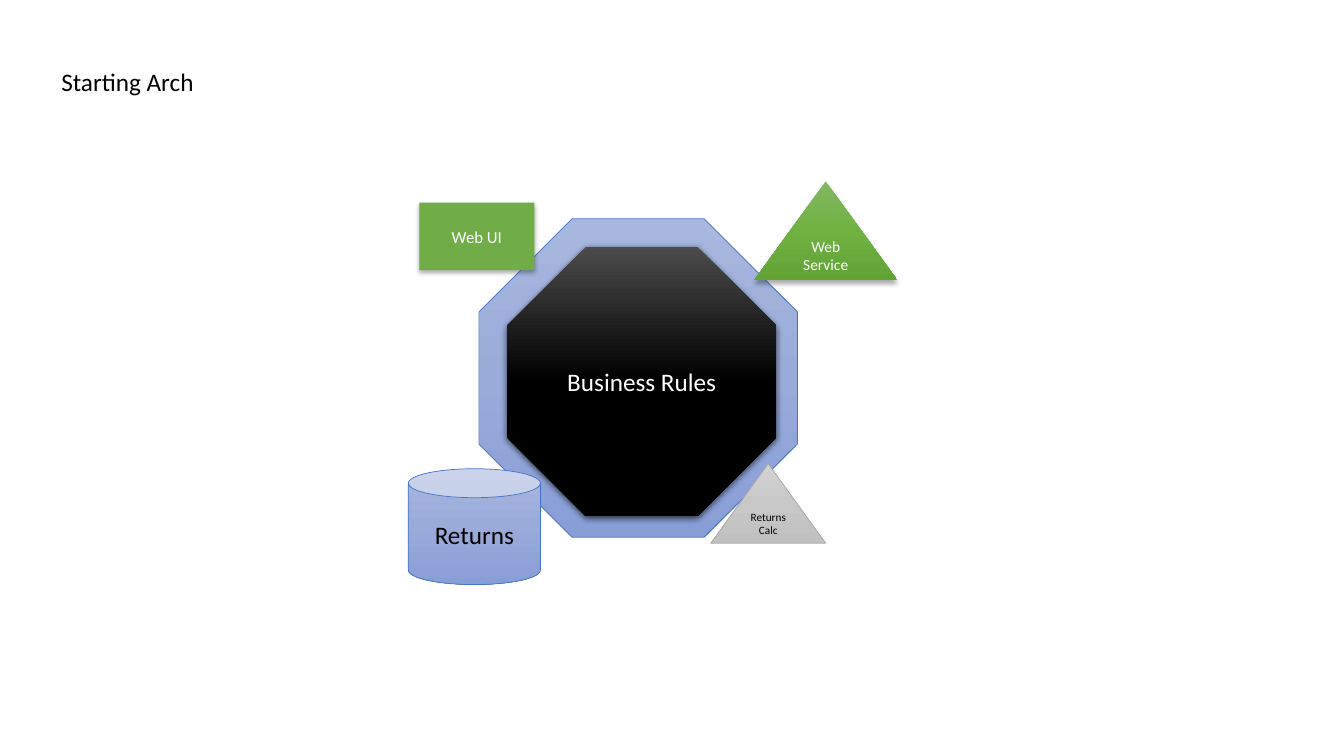
from lxml.etree import SubElement
from pptx import Presentation
from pptx.dml.color import RGBColor
from pptx.enum.shapes import MSO_SHAPE as Shape
from pptx.enum.text import MSO_ANCHOR as Anchor, MSO_AUTO_SIZE as AutoSize, PP_ALIGN as Align
from pptx.oxml.ns import qn
from pptx.util import Inches, Pt

FONT = "Calibri"
BLACK = RGBColor(0x00, 0x00, 0x00)
WHITE = RGBColor(0xFF, 0xFF, 0xFF)
GREEN = RGBColor(0x70, 0xAD, 0x47)
BLUE_LINE = RGBColor(0x44, 0x72, 0xC4)
GRAY_LINE = RGBColor(0xA5, 0xA5, 0xA5)

# Gradient colours at the top, middle and bottom
BLUE_FADE = (RGBColor(0xA8, 0xB7, 0xDF), RGBColor(0x9A, 0xAB, 0xD9), RGBColor(0x88, 0x9E, 0xD7))
BLACK_FADE = (RGBColor(0x4B, 0x4B, 0x4B), BLACK, BLACK)
GREEN_FADE = (RGBColor(0x81, 0xB8, 0x61), RGBColor(0x6F, 0xB2, 0x42), RGBColor(0x62, 0xA3, 0x36))
GRAY_FADE = (RGBColor(0xD2, 0xD2, 0xD2), RGBColor(0xC8, 0xC8, 0xC8), RGBColor(0xC0, 0xC0, 0xC0))

# Shadow opacity in percent, blur and distance in points
STRONG_SHADOW = (63, 4.5, 1.5)
SOFT_SHADOW = (32, 3.5, 2.2)

TITLE = ("Starting Arch", 18, BLACK)
TITLE_BOX = (0.51, 0.61, 1.53, 0.4)

# Preset, box, fill colours, line colour, shadow, label (text, size, colour)
PARTS = [
    (Shape.OCTAGON, (4.75, 2.17, 3.16, 3.16), BLUE_FADE, BLUE_LINE, None, None),
    (Shape.OCTAGON, (5.03, 2.45, 2.67, 2.67), BLACK_FADE, None, STRONG_SHADOW,
     ("Business Rules", 18, WHITE)),
    (Shape.CAN, (4.05, 4.65, 1.31, 1.15), BLUE_FADE, BLUE_LINE, None, ("Returns", 18, BLACK)),
    (Shape.RECTANGLE, (4.16, 2.01, 1.14, 0.67), (GREEN,), None, SOFT_SHADOW,
     ("Web UI", 12, WHITE)),
    (Shape.ISOSCELES_TRIANGLE, (7.48, 1.8, 1.42, 0.98), GREEN_FADE, None, SOFT_SHADOW,
     ("Web Service", 11, WHITE)),
    (Shape.ISOSCELES_TRIANGLE, (7.05, 4.6, 1.14, 0.79), GRAY_FADE, GRAY_LINE, None,
     ("Returns Calc", 8, BLACK)),
]


def add_color(parent, color):
    """Append an RGB colour element and return it."""
    return SubElement(parent, qn("a:srgbClr"), val=str(color))


def set_fill(shape, colors):
    """Fill with one colour, or with a downward gradient of evenly spaced colours."""
    if len(colors) == 1:
        shape.fill.solid()
        shape.fill.fore_color.rgb = colors[0]
        return
    shape.fill.gradient()
    shape.fill.gradient_angle = 270
    stops = shape._element.spPr.find(f"{qn('a:gradFill')}/{qn('a:gsLst')}")
    for stop in list(stops):
        stops.remove(stop)
    for index, color in enumerate(colors):
        position = index * 100000 // (len(colors) - 1)
        add_color(SubElement(stops, qn("a:gs"), pos=str(position)), color)


def set_shadow(shape, shadow):
    """Drop the theme shadow and, if given, cast one straight down."""
    shape.shadow.inherit = False
    if shadow:
        opacity, blur, distance = shadow
        effects = shape._element.spPr.find(qn("a:effectLst"))
        outer = SubElement(effects, qn("a:outerShdw"), blurRad=str(Pt(blur)),
                           dist=str(Pt(distance)), dir="5400000", algn="ctr", rotWithShape="0")
        SubElement(add_color(outer, BLACK), qn("a:alpha"), val=str(opacity * 1000))


def set_text(text_frame, label, alignment):
    """Write a one-paragraph label and format it."""
    text, size, color = label
    text_frame.text = text
    paragraph = text_frame.paragraphs[0]
    paragraph.alignment = alignment
    font = paragraph.runs[0].font
    font.name, font.size, font.color.rgb = FONT, Pt(size), color


def add_part(slide, preset, box, colors, line_color, shadow, label):
    """Add one architecture part."""
    shape = slide.shapes.add_shape(preset, *map(Inches, box))
    set_fill(shape, colors)
    if line_color is None:
        shape.line.fill.background()
    else:
        shape.line.color.rgb = line_color
        shape.line.width = Pt(0.5)
    set_shadow(shape, shadow)
    if label:
        shape.text_frame.vertical_anchor = Anchor.MIDDLE
        set_text(shape.text_frame, label, Align.CENTER)


def add_title(slide):
    """Add the slide heading."""
    text_frame = slide.shapes.add_textbox(*map(Inches, TITLE_BOX)).text_frame
    text_frame.word_wrap = False
    text_frame.auto_size = AutoSize.SHAPE_TO_FIT_TEXT
    set_text(text_frame, TITLE, Align.LEFT)


presentation = Presentation()
presentation.slide_width, presentation.slide_height = Inches(13.33), Inches(7.5)
slide = presentation.slides.add_slide(presentation.slide_layouts[6])
for part in PARTS:
    add_part(slide, *part)
add_title(slide)
presentation.save("out.pptx")
